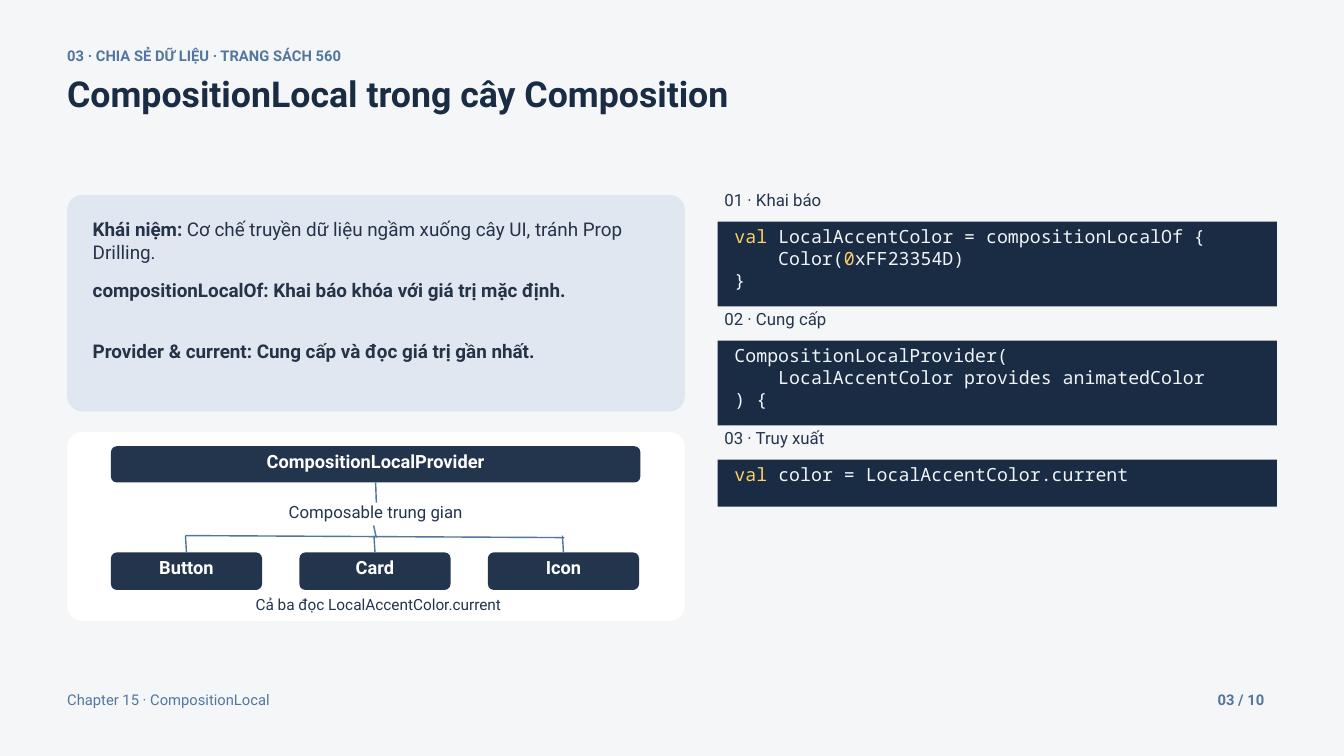
from dataclasses import dataclass

from pptx import Presentation
from pptx.dml.color import RGBColor
from pptx.enum.shapes import MSO_CONNECTOR, MSO_SHAPE
from pptx.enum.text import PP_ALIGN
from pptx.oxml.ns import qn
from pptx.util import Inches, Pt


@dataclass(frozen=True)
class Theme:
    sans: str = "Roboto"
    mono: str = "Noto Sans Mono"
    page: str = "F5F6F8"
    concept: str = "E0E7F0"
    white: str = "FFFFFF"
    ink: str = "192C43"
    body: str = "253348"
    node: str = "23354D"
    accent: str = "52769E"
    code: str = "F1F5F9"
    keyword: str = "FFD166"
    small: float = 15.8
    note: float = 16.5
    label: float = 18
    box: float = 19.5
    text: float = 20.2
    title: float = 38.2


T = Theme()


@dataclass(frozen=True)
class Run:
    text: str
    color: str
    bold: bool = False


@dataclass(frozen=True)
class CodeStep:
    label: str
    height: float
    text_height: float
    lines: list[list[Run]]


def bold(text: str, color: str) -> list[Run]:
    return [Run(text, color, True)]


def code(text: str) -> Run:
    return Run(text, T.code)


def keyword(text: str) -> Run:
    return Run(text, T.keyword)


def add_text(s, x: float, y: float, w: float, h: float, lines: list[list[Run]],
             size: float, font: str = T.sans, align=PP_ALIGN.LEFT) -> None:
    """Add a box without margins, one paragraph per line, at 1.2 line spacing."""
    tf = s.shapes.add_textbox(Inches(x), Inches(y), Inches(w), Inches(h)).text_frame
    tf.word_wrap = True
    tf.margin_left = tf.margin_top = tf.margin_right = tf.margin_bottom = 0
    for i, line in enumerate(lines):
        p = tf.paragraphs[0] if i == 0 else tf.add_paragraph()
        p.alignment = align
        p.line_spacing = Pt(round(size * 1.2, 1))
        for run in line:
            r = p.add_run()
            r.text = run.text
            r.font.name = font
            r.font.size = Pt(size)
            r.font.bold = run.bold
            r.font.color.rgb = RGBColor.from_string(run.color)


def add_panel(s, x: float, y: float, w: float, h: float, fill: str, radius: float = 0):
    kind = MSO_SHAPE.ROUNDED_RECTANGLE if radius else MSO_SHAPE.RECTANGLE
    sp = s.shapes.add_shape(kind, Inches(x), Inches(y), Inches(w), Inches(h))
    if radius:
        sp.adjustments[0] = radius / min(w, h)
    sp.fill.solid()
    sp.fill.fore_color.rgb = RGBColor.from_string(fill)
    sp.line.fill.background()
    sp.shadow.inherit = False
    return sp


def add_node(s, x: float, y: float, w: float, h: float, name: str):
    sp = add_panel(s, x, y, w, h, T.node, 0.09)
    add_text(s, x, y + 0.06, w, 0.42, [bold(name, T.white)], T.box, align=PP_ALIGN.CENTER)
    return sp


def add_wire(s, x1: float, y1: float, x2: float, y2: float):
    cx = s.shapes.add_connector(MSO_CONNECTOR.STRAIGHT, Inches(x1), Inches(y1),
                                Inches(x2), Inches(y2))
    cx.line.color.rgb = RGBColor.from_string(T.accent)
    cx.line.width = Pt(1.5)
    pr = cx._element.spPr
    pr.append(pr.makeelement(qn("a:effectLst"), {}))
    return cx


def add_frame(s) -> None:
    """Add the heading and the footer."""
    add_text(s, 1, 0.69, 4.2, 0.26,
             [bold("03 · CHIA SẺ DỮ LIỆU · TRANG SÁCH 560", T.accent)], T.small)
    add_text(s, 1, 1.07, 19, 0.66,
             [bold("CompositionLocal trong cây Composition", T.ink)], T.title)
    add_text(s, 1, 10.28, 4.12, 0.28, [[Run("Chapter 15 · CompositionLocal", T.accent)]], T.small)
    add_text(s, 18.12, 10.28, 0.74, 0.26, [bold("03 / 10", T.accent)], T.small)


def add_concepts(s) -> None:
    add_panel(s, 1, 2.9, 9.19, 3.22, T.concept, 0.22)
    concepts = [
        [Run("Khái niệm:", T.body, True),
         Run(" Cơ chế truyền dữ liệu ngầm xuống cây UI, tránh Prop Drilling.", T.body)],
        bold("compositionLocalOf: Khai báo khóa với giá trị mặc định.", T.body),
        bold("Provider & current: Cung cấp và đọc giá trị gần nhất.", T.body),
    ]
    for i, concept in enumerate(concepts):
        add_text(s, 1.38, 3.24 + 0.905 * i, 8.59, 0.72, [concept], T.text)


def add_tree(s) -> None:
    add_panel(s, 1, 6.43, 9.19, 2.81, T.white, 0.22)
    provider = add_node(s, 1.65, 6.64, 7.88, 0.54, "CompositionLocalProvider")
    add_wire(s, 5.56, 7.16, 5.6, 7.48).begin_connect(provider, 2)
    add_text(s, 1.5, 7.47, 8.18, 0.38, [[Run("Composable trung gian", T.node)]],
             T.label, align=PP_ALIGN.CENTER)
    add_wire(s, 5.56, 7.82, 5.6, 8)
    add_wire(s, 2.76, 7.97, 8.4, 8)
    for i, name in enumerate(["Button", "Card", "Icon"]):
        dx = 2.805 * i
        node = add_node(s, 1.65 + dx, 8.22, 2.25, 0.56, name)
        add_wire(s, 2.76 + dx, 7.97, 2.79 + dx, 8.22).end_connect(node, 0)
    add_text(s, 1.43, 8.85, 8.4, 0.33, [[Run("Cả ba đọc LocalAccentColor.current", T.node)]],
             T.note, align=PP_ALIGN.CENTER)


def add_code_steps(s) -> None:
    steps = [
        CodeStep("01 · Khai báo", 1.26, 0.97, [
            [keyword("val"), code(" LocalAccentColor = compositionLocalOf {")],
            [code("    Color("), keyword("0"), code("xFF23354D)")],
            [code("}")]]),
        CodeStep("02 · Cung cấp", 1.26, 0.97, [
            [code("CompositionLocalProvider(")],
            [code("    LocalAccentColor provides animatedColor")],
            [code(") {")]]),
        CodeStep("03 · Truy xuất", 0.7, 0.32, [
            [keyword("val"), code(" color = LocalAccentColor.current")]]),
    ]
    y = 3.3
    for step in steps:
        add_text(s, 10.78, y - 0.47, 8.12, 0.29, [[Run(step.label, T.node)]], T.label)
        add_panel(s, 10.68, y, 8.32, step.height, T.ink)
        add_text(s, 10.93, y + 0.06, 7.83, step.text_height, step.lines, T.box, T.mono)
        y += step.height + 0.51


def main() -> None:
    prs = Presentation()
    prs.slide_width, prs.slide_height = Inches(20), Inches(11.25)
    s = prs.slides.add_slide(prs.slide_layouts[6])
    s.background.fill.solid()
    s.background.fill.fore_color.rgb = RGBColor.from_string(T.page)
    add_frame(s)
    add_concepts(s)
    add_tree(s)
    add_code_steps(s)
    prs.save("out.pptx")


if __name__ == "__main__":
    main()
